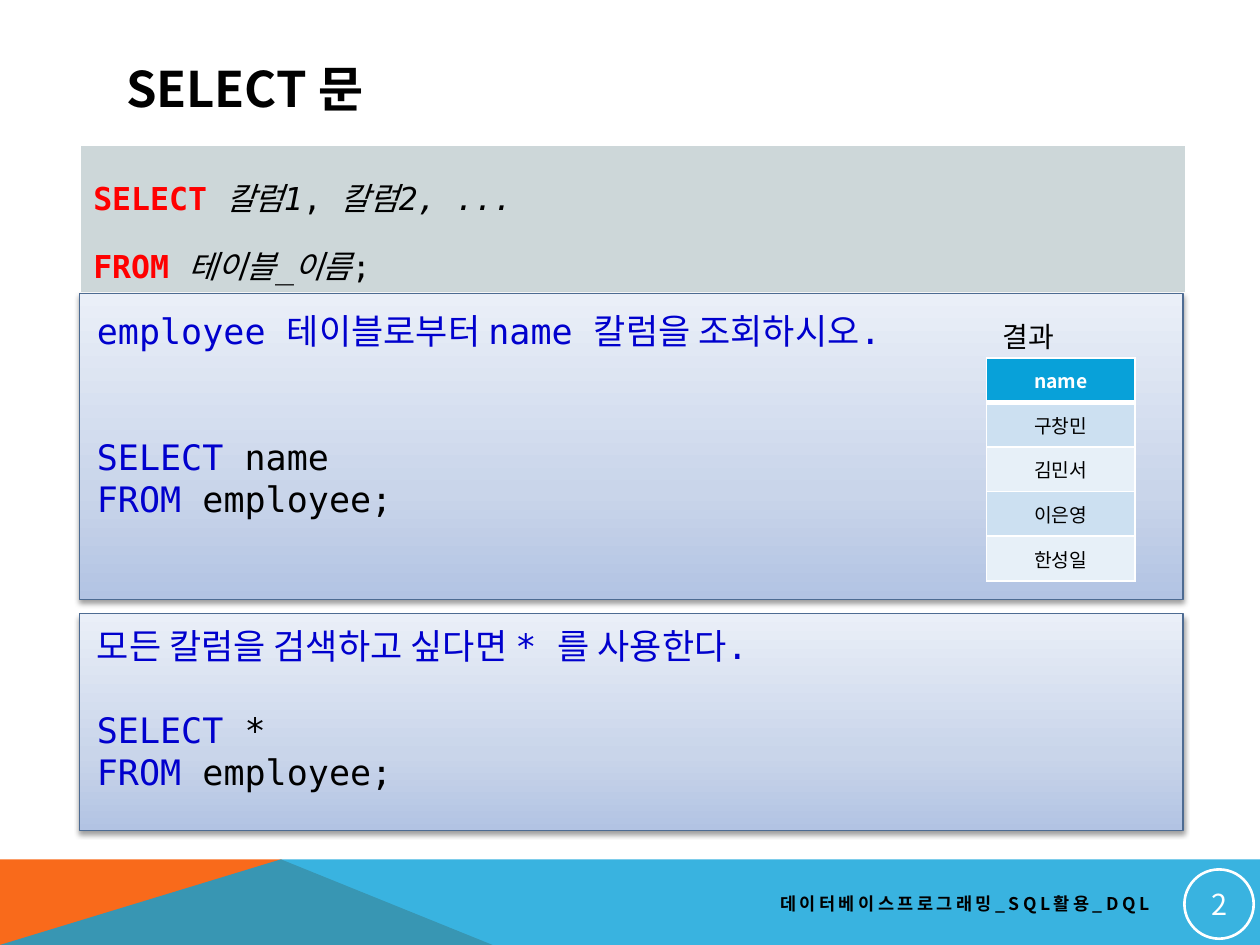
import copy
from dataclasses import dataclass

import lxml.etree
import pptx
import pptx.dml.color
import pptx.enum.shapes
import pptx.enum.text
import pptx.oxml.ns
import pptx.util

Inches = pptx.util.Inches
Align = pptx.enum.text.PP_ALIGN
Anchor = pptx.enum.text.MSO_ANCHOR
AutoSize = pptx.enum.text.MSO_AUTO_SIZE
Shape = pptx.enum.shapes.MSO_SHAPE
qn = pptx.oxml.ns.qn

SANS = "Noto Sans CJK KR"
MONO = "DejaVu Sans Mono"
BLACK, WHITE, RED, BLUE = "000000", "FFFFFF", "FF0000", "0000CD"
PANEL_STOPS = [(0, "B2C3E3"), (0.35, "C9D5EA"), (1, "EAEFF8")]
LINE_HEIGHT = 24


@dataclass
class Frame:
    left: float
    top: float
    width: float
    height: float

    def lengths(self) -> list:
        return [Inches(value) for value in (self.left, self.top, self.width, self.height)]


@dataclass
class Example:
    panel: Frame
    text: Frame
    question: str
    blank_lines: int
    columns: str


@dataclass
class Ribbon:
    points: list
    color: str
    opacity: int


EXAMPLES = [
    Example(Frame(0.63, 4.87, 8.76, 1.72), Frame(0.67, 4.91, 6.92, 1.45),
            "모든 칼럼을 검색하고 싶다면 * 를 사용한다.", 1, "*"),
    Example(Frame(0.63, 2.33, 8.76, 2.43), Frame(0.67, 2.41, 6.92, 1.78),
            "employee 테이블로부터 name 칼럼을 조회하시오.", 2, "name"),
]
RIBBONS = [
    Ribbon([(0, 7.5), (0, 6.82), (2.23, 6.82), (3.91, 7.5)], "F96A1B", 100),
    Ribbon([(0, 7.5), (2.23, 6.82), (10, 6.82), (10, 7.5)], "08A1D9", 80),
]
NAMES = ["name", "구창민", "김민서", "이은영", "한성일"]


def rgb(color: str):
    return pptx.dml.color.RGBColor.from_string(color)


def add_xml(parent, tag: str, **attributes):
    return lxml.etree.SubElement(parent, qn(tag), attributes)


def fill_solid(item, color: str) -> None:
    item.fill.solid()
    item.fill.fore_color.rgb = rgb(color)


def add_text(para, text: str, *, size=20, font=MONO, color=BLACK, bold=False,
             italic=False, spacing=0) -> None:
    span = para.add_run()
    span.text = text
    span.font.size = pptx.util.Pt(size)
    span.font.bold = bold
    span.font.italic = italic
    span.font.color.rgb = rgb(color)
    span.font.name = font
    properties = span.font._element
    add_xml(properties, "a:ea", typeface=SANS)
    if spacing:
        properties.set("spc", str(spacing * 100))


def add_box(page, frame: Frame, wrap=True, grow=True):
    box = page.shapes.add_textbox(*frame.lengths())
    box.text_frame.word_wrap = wrap
    box.text_frame.auto_size = AutoSize.SHAPE_TO_FIT_TEXT if grow else AutoSize.NONE
    return box.text_frame


def add_ribbon(page, ribbon: Ribbon) -> None:
    points = [(Inches(x), Inches(y)) for x, y in ribbon.points]
    builder = page.shapes.build_freeform(*points[0], scale=1.0)
    builder.add_line_segments(points[1:], close=True)
    shape = builder.convert_to_shape()
    shape.shadow.inherit = False
    shape.line.fill.background()
    fill_solid(shape, ribbon.color)
    if ribbon.opacity < 100:
        color = shape._element.spPr.find(".//" + qn("a:srgbClr"))
        add_xml(color, "a:alpha", val=str(ribbon.opacity * 1000))


def add_panel(page, frame: Frame) -> None:
    panel = page.shapes.add_shape(Shape.RECTANGLE, *frame.lengths())
    panel.fill.gradient()
    panel.fill.gradient_angle = 90
    properties = panel._element.spPr
    stops = properties.find(".//" + qn("a:gsLst"))
    stops.append(copy.deepcopy(stops[-1]))
    for stop, (position, color) in zip(panel.fill.gradient_stops, PANEL_STOPS):
        stop.position = position
        stop.color.rgb = rgb(color)
    panel.line.color.rgb = rgb("4D6B92")
    panel.line.width = pptx.util.Pt(0.75)
    panel.shadow.inherit = False
    shadow = add_xml(properties.find(qn("a:effectLst")), "a:outerShdw", blurRad="40000",
                     dist="20000", dir="5400000", rotWithShape="0")
    add_xml(add_xml(shadow, "a:srgbClr", val=BLACK), "a:alpha", val="38000")


def add_example(page, example: Example) -> None:
    add_panel(page, example.panel)
    frame = add_box(page, example.text)
    add_text(frame.paragraphs[0], example.question, color=BLUE)
    for keyword, rest in [("SELECT", f" {example.columns} "), ("FROM", " employee;")]:
        para = frame.add_paragraph()
        if keyword == "SELECT":
            para.space_before = pptx.util.Pt(example.blank_lines * LINE_HEIGHT)
        add_text(para, keyword, color=BLUE)
        add_text(para, rest)


def add_column(page, frame: Frame, rows: int):
    table = page.shapes.add_table(rows, 1, *frame.lengths()).table
    return [table.cell(row, 0) for row in range(rows)]


def format_cell(cell, color: str, bottom=1) -> None:
    properties = cell._tc.get_or_add_tcPr()
    for side, width in [("L", 1), ("R", 1), ("T", 1), ("B", bottom)]:
        border = add_xml(properties, f"a:ln{side}", w=str(pptx.util.Pt(width)))
        add_xml(add_xml(border, "a:solidFill"), "a:srgbClr", val=WHITE)
    fill_solid(cell, color)


def add_syntax(page) -> None:
    cell = add_column(page, Frame(0.64, 1.15, 8.77, 1), 1)[0]
    format_cell(cell, "CDD7D9", bottom=3)
    para = cell.text_frame.paragraphs[0]
    para.line_spacing = 1.5
    add_text(para, "SELECT ", size=18, color=RED, bold=True)
    add_text(para, "칼럼1", size=18, italic=True)
    add_text(para, ", ", size=18)
    add_text(para, "칼럼2, ...", size=18, italic=True)
    para.add_line_break()
    add_text(para, "FROM ", size=18, color=RED, bold=True)
    add_text(para, "테이블_이름", size=18, italic=True)
    add_text(para, ";", size=18)


def add_result(page) -> None:
    label = add_box(page, Frame(7.86, 2.49, 0.73, 0.37), wrap=False)
    add_text(label.paragraphs[0], "결과", size=16, font=SANS)
    cells = add_column(page, Frame(7.83, 2.84, 1.18, 1.77), len(NAMES))
    for row, (cell, name) in enumerate(zip(cells, NAMES)):
        header = row == 0
        color = "08A1D9" if header else ("E7F0F8", "CCE0F1")[row % 2]
        format_cell(cell, color, bottom=3 if header else 1)
        cell.vertical_anchor = Anchor.MIDDLE
        para = cell.text_frame.paragraphs[0]
        para.alignment = Align.CENTER
        add_text(para, name, size=11, font=SANS, color=WHITE if header else BLACK, bold=header)


def add_footer(page) -> None:
    frame = add_box(page, Frame(3.58, 7.02, 5.64, 0.3), grow=False)
    frame.vertical_anchor = Anchor.MIDDLE
    frame.paragraphs[0].alignment = Align.RIGHT
    add_text(frame.paragraphs[0], "데이터베이스프로그래밍_SQL활용_DQL", size=10, font=SANS,
             bold=True, spacing=2)
    badge = page.shapes.add_shape(Shape.OVAL, *Frame(9.4, 6.9, 0.55, 0.55).lengths())
    badge.shadow.inherit = False
    badge.fill.background()
    badge.line.color.rgb = rgb(WHITE)
    badge.line.width = pptx.util.Pt(1.5)
    frame = badge.text_frame
    frame.margin_left = frame.margin_right = Inches(0.01)
    frame.margin_top = frame.margin_bottom = Inches(0.01)
    frame.vertical_anchor = Anchor.MIDDLE
    frame.paragraphs[0].alignment = Align.CENTER
    add_text(frame.paragraphs[0], "2", size=16.5, font=SANS, color=WHITE)


def set_title(page) -> None:
    title = page.shapes.title
    title.left, title.top, title.width, title.height = Frame(0.9, 0.4, 8.22, 0.6).lengths()
    title.text_frame.auto_size = AutoSize.NONE
    title.text_frame.vertical_anchor = Anchor.MIDDLE
    para = title.text_frame.paragraphs[0]
    para.alignment = Align.LEFT
    add_text(para, "SELECT 문", size=28, font=SANS, bold=True)


def main() -> None:
    deck = pptx.Presentation()
    deck.slide_width, deck.slide_height = Inches(10), Inches(7.5)
    page = deck.slides.add_slide(deck.slide_layouts[5])
    set_title(page)
    for ribbon in RIBBONS:
        add_ribbon(page, ribbon)
    add_syntax(page)
    for example in EXAMPLES:
        add_example(page, example)
    add_result(page)
    add_footer(page)
    deck.save("out.pptx")


if __name__ == "__main__":
    main()
